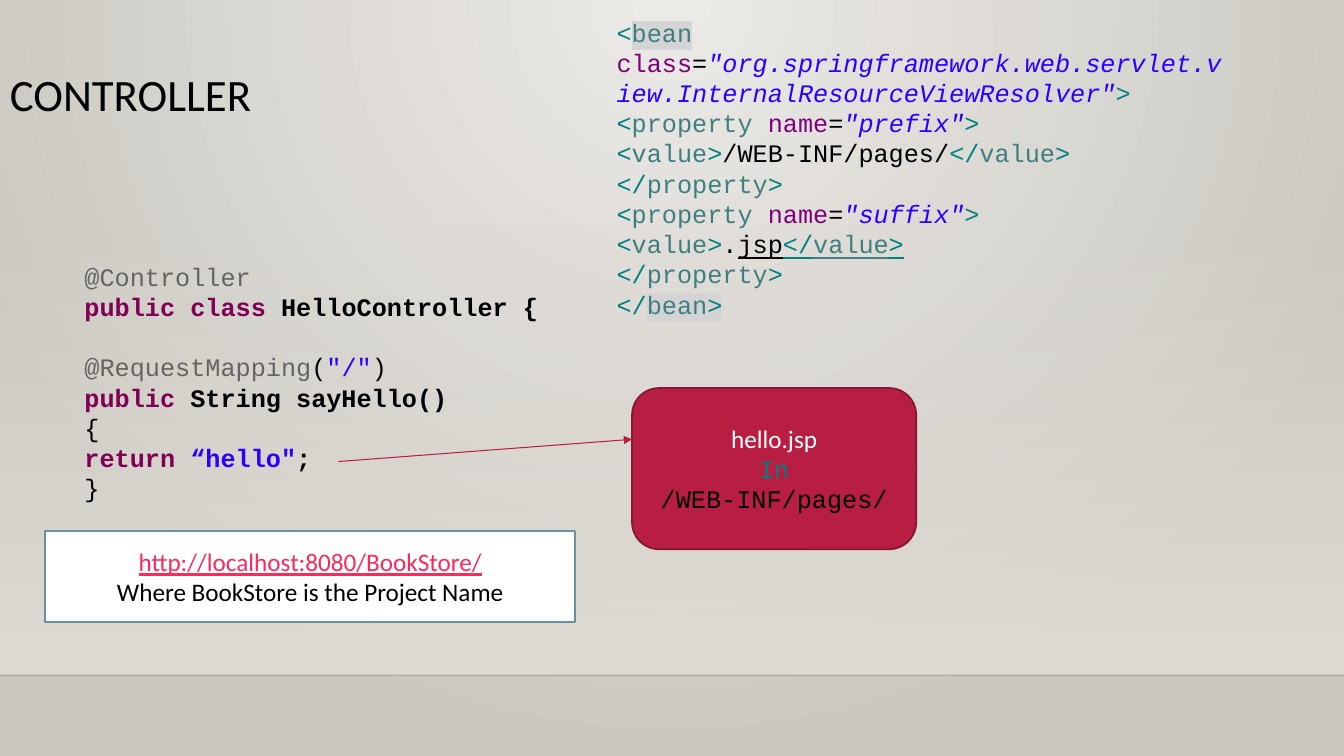
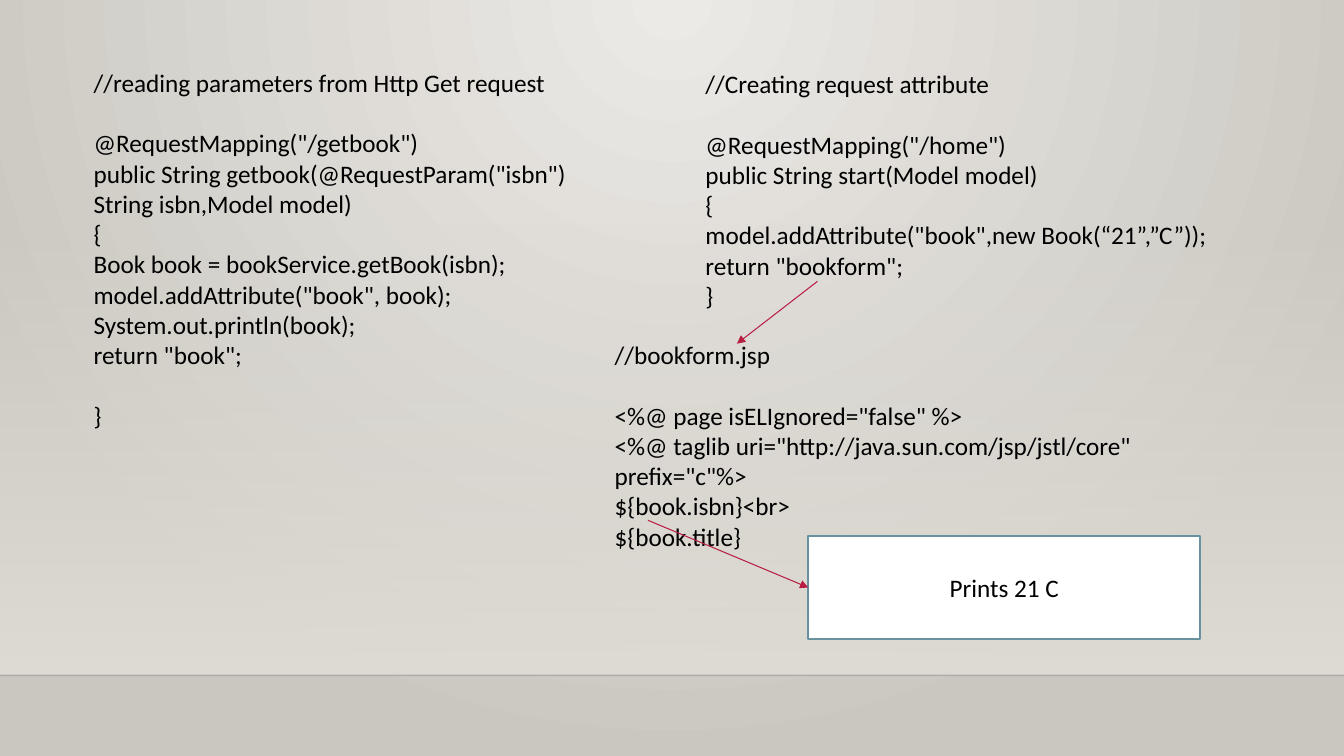
from lxml import etree
from pptx import Presentation, util as u
from pptx.dml.color import RGBColor
from pptx.enum import shapes, text
from pptx.oxml.ns import qn

BLACK, WHITE = "000000", "FFFFFF"
RED, DARK_RED, PINK, BLUE_GREY = "B71E42", "871631", "FA2B5C", "6892A0"
TEAL, TAG, ATTRIBUTE, STRING = "008080", "3F7F7F", "7F007F", "2A00FF"
ANNOTATION, KEYWORD, HIGHLIGHT = "646464", "7F0055", "D4D4D4"
SANS, MONO = "Calibri", "Courier New"
LINE_HEIGHT = u.Pt(21.6)


def colour(value):
    return RGBColor.from_string(value)


def write(frame, lines, size=18, spacing=LINE_HEIGHT, align=text.PP_ALIGN.LEFT):
    frame.word_wrap = True
    paragraph, gap = None, False
    for line in lines:
        if not line:
            gap = True
            continue
        paragraph = frame.add_paragraph() if paragraph else frame.paragraphs[0]
        paragraph.alignment = align
        paragraph.line_spacing = spacing
        if gap:
            paragraph.space_before = LINE_HEIGHT
            gap = False
        pieces = [(line, BLACK, SANS)] if isinstance(line, str) else line
        for words, shade, font, *flags in pieces:
            run = paragraph.add_run()
            run.text = words
            run.font.size = u.Pt(size)
            run.font.name = font
            run.font.color.rgb = colour(shade)
            run.font.bold = "bold" in flags
            run.font.italic = "italic" in flags
            run.font.underline = "underline" in flags
            if "highlight" in flags:
                highlight = etree.Element(qn("a:highlight"))
                etree.SubElement(highlight, qn("a:srgbClr"), val=HIGHLIGHT)
                run.font._element.find(qn("a:solidFill")).addnext(highlight)


opening, ending, closing = ("<", TEAL, MONO), ("</", TEAL, MONO), (">", TEAL, MONO)
equals = ("=", BLACK, MONO)
value_tag = ("value", TAG, MONO)
property_end = [ending, ("property", TAG, MONO), closing]
property_starts = [
    [opening, ("property ", TAG, MONO), ("name", ATTRIBUTE, MONO), equals,
     (name, STRING, MONO, "italic"), closing]
    for name in ('"prefix"', '"suffix"')
]

controller_code = [
    [("@Controller", ANNOTATION, MONO)],
    [("public class ", KEYWORD, MONO, "bold"), ("HelloController {", BLACK, MONO, "bold")],
    "",
    [("@RequestMapping", ANNOTATION, MONO), ("(", BLACK, MONO),
     ('"/"', STRING, MONO), (")", BLACK, MONO)],
    [("public", KEYWORD, MONO, "bold"), (" String sayHello()", BLACK, MONO, "bold")],
    [("{", BLACK, MONO)],
    [("return ", KEYWORD, MONO, "bold"), ('“hello"', STRING, MONO, "bold"),
     (";", BLACK, MONO, "bold")],
    [("}", BLACK, MONO)],
]
bean_code = [
    [opening, ("bean", TAG, MONO, "highlight")],
    [("class", ATTRIBUTE, MONO), equals,
     ('"org.springframework.web.servlet.view.InternalResourceViewResolver"',
      STRING, MONO, "italic"), closing],
    property_starts[0],
    [opening, value_tag, closing, ("/WEB-INF/pages/", BLACK, MONO),
     ending, value_tag, closing],
    property_end,
    property_starts[1],
    [opening, value_tag, closing, (".", BLACK, MONO), ("jsp", BLACK, MONO, "underline")]
    + [(*piece, "underline") for piece in (ending, value_tag, closing)],
    property_end,
    [ending, ("bean", TAG, MONO, "highlight"), (*closing, "highlight")],
]
getbook_code = [
    "//reading parameters from Http Get request",
    "",
    '@RequestMapping("/getbook")',
    'public String getbook(@RequestParam("isbn")',
    "String isbn,Model model)",
    "{",
    "Book book = bookService.getBook(isbn);",
    'model.addAttribute("book", book);',
    "System.out.println(book);",
    'return "book";',
    "",
    "}",
]
home_code = [
    "//Creating request attribute",
    "",
    '@RequestMapping("/home")',
    "public String start(Model model)",
    "{",
    'model.addAttribute("book",new Book(“21”,”C”));',
    'return "bookform";',
    "}",
]
bookform_code = [
    "//bookform.jsp",
    "",
    '<%@ page isELIgnored="false" %>',
    '<%@ taglib uri="http://java.sun.com/jsp/jstl/core" prefix="c"%>',
    "${book.isbn}<br>",
    "${book.title}",
]
view_label = [
    [("hello.jsp", WHITE, SANS)],
    [("In ", TEAL, MONO), ("/WEB-INF/pages/", BLACK, MONO)],
]
address_label = [
    [("http://localhost:8080/BookStore/", PINK, SANS, "underline")],
    "Where BookStore is the Project Name",
]

RECTANGLE = shapes.MSO_SHAPE.RECTANGLE
ROUNDED = shapes.MSO_SHAPE.ROUNDED_RECTANGLE
pages = [
    {
        "title": "CONTROLLER",
        "texts": [
            ((1.88, 6.45, 21.41, 6.4), controller_code),
            ((15.29, 0.3, 16.03, 7.95), bean_code),
        ],
        "boxes": [
            (ROUNDED, (15.93, 9.78, 7.16, 4.06), RED, DARK_RED, view_label),
            (RECTANGLE, (1.14, 13.39, 13.36, 2.29), WHITE, BLUE_GREY, address_label),
        ],
        "arrows": [((8.53, 11.63, 15.93, 11.07), False)],
    },
    {
        "title": None,
        "texts": [
            ((2.11, 1.57, 14.25, 9.5), getbook_code),
            ((17.53, 1.6, 16.3, 6.4), home_code),
            ((15.24, 8.43, 16.5, 5.64), bookform_code),
        ],
        "boxes": [
            (RECTANGLE, (20.37, 13.51, 9.88, 2.59), WHITE, BLUE_GREY, ["Prints 21 C"]),
        ],
        "arrows": [
            ((20.6, 7.09, 18.57, 8.66), False),
            ((16.33, 13.11, 20.37, 14.81), True),
        ],
    },
]

presentation = Presentation()
presentation.slide_width = u.Cm(33.87)
presentation.slide_height = u.Cm(19.05)

master = presentation.slide_master
background = master.background.fill
background.gradient()
for stop, shade in zip(background.gradient_stops, ("ECEAE7", "CAC7C1")):
    stop.color.rgb = colour(shade)
gradient = next(master.element.iter(qn("a:gradFill")))
gradient.remove(gradient.find(qn("a:lin")))
circle = etree.SubElement(gradient, qn("a:path"), {"path": "circle"})
etree.SubElement(circle, qn("a:fillToRect"), l="43000", t="0", r="43000", b="100000")

for page in pages:
    slide = presentation.slides.add_slide(presentation.slide_layouts[6])

    band = slide.shapes.add_shape(RECTANGLE, 0, u.Cm(5.61), u.Cm(33.87), u.Cm(11.41))
    band.shadow.inherit = False
    band.line.fill.background()
    band.fill.gradient()
    band.fill.gradient_angle = 270
    for stop in band.fill.gradient_stops:
        stop.color.rgb = colour("DFDBD5")
    first_stop = next(band.element.spPr.iter(qn("a:srgbClr")))
    etree.SubElement(first_stop, qn("a:alpha"), val="0")

    if page["title"]:
        title = slide.shapes.add_textbox(0, u.Cm(1.7), u.Cm(23.88), u.Cm(2.18))
        write(title.text_frame, [page["title"]], size=32, spacing=0.9)

    for place, lines in page["texts"]:
        code = slide.shapes.add_textbox(*map(u.Cm, place))
        write(code.text_frame, lines)

    for kind, place, fill, outline, lines in page["boxes"]:
        box = slide.shapes.add_shape(kind, *map(u.Cm, place))
        box.shadow.inherit = False
        box.fill.solid()
        box.fill.fore_color.rgb = colour(fill)
        box.line.color.rgb = colour(outline)
        box.line.width = u.Pt(1.25)
        box.text_frame.vertical_anchor = text.MSO_ANCHOR.MIDDLE
        write(box.text_frame, lines, align=text.PP_ALIGN.CENTER)

    strokes = [((0, 17.02, 33.87, 17.02), False, "000001", 1, False)]
    strokes += [(ends, joined, RED, 0.75, True) for ends, joined in page["arrows"]]
    for ends, joined, shade, width, pointed in strokes:
        stroke = slide.shapes.add_connector(shapes.MSO_CONNECTOR.STRAIGHT, *map(u.Cm, ends))
        if joined:
            stroke.end_connect(box, 1)
        stroke.line.color.rgb = colour(shade)
        stroke.line.width = u.Pt(width)
        properties = stroke._element.spPr
        outline = properties.find(qn("a:ln"))
        if pointed:
            etree.SubElement(outline, qn("a:tailEnd"), type="triangle")
        else:
            etree.SubElement(next(outline.iter(qn("a:srgbClr"))), qn("a:alpha"), val="20000")
        etree.SubElement(properties, qn("a:effectLst"))

presentation.save("out.pptx")
